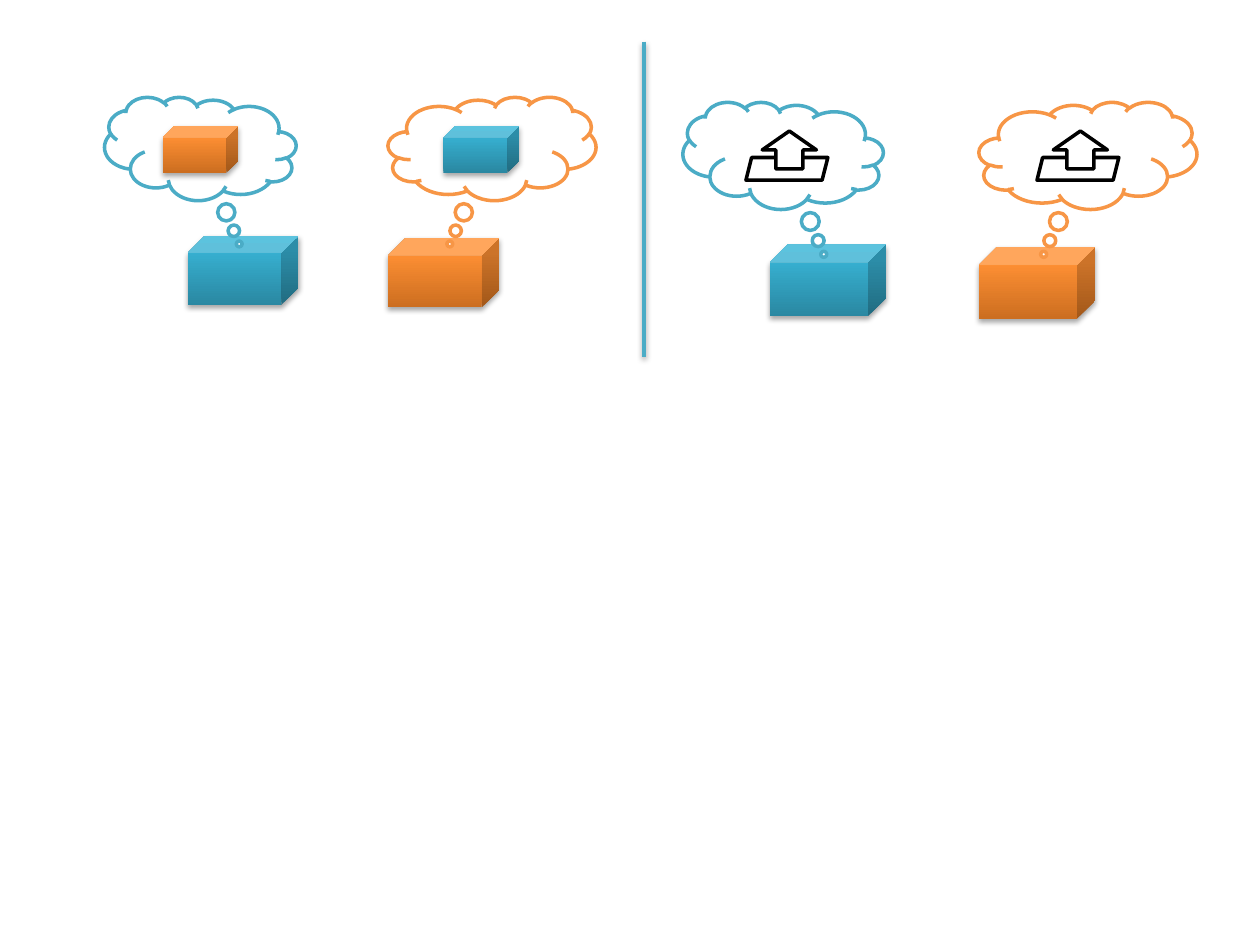
"""Build a slide of paired cubes thinking of each other, then of a shared outbox."""
from copy import deepcopy

from lxml import etree
from pptx import Presentation
from pptx.dml.color import RGBColor
from pptx.enum.shapes import MSO_CONNECTOR, MSO_SHAPE
from pptx.oxml.ns import qn
from pptx.util import Inches, Pt

CUBE = MSO_SHAPE.CUBE
CLOUD = MSO_SHAPE.CLOUD_CALLOUT
TRAY = MSO_SHAPE.PARALLELOGRAM
ARROW = MSO_SHAPE.UP_ARROW
STRAIGHT = MSO_CONNECTOR.STRAIGHT

COLORS = {"teal": "4BACC6", "orange": "F79646", "black": "000000", "white": "FFFFFF"}
GRADIENTS = {
    "teal": ("2A88A2", "37B1D2", "34B4D6"),
    "orange": ("CC6E20", "FF9034", "FF9136"),
}
STOPS = (0, 0.8, 1)


class Diagram:
    """Draws styled elements on one slide."""

    def __init__(self, slide):
        self.slide = slide
        self.shapes = slide.shapes
        self.line_width = Pt(2)

    def group(self):
        """Start a group that receives the next shapes."""
        self.shapes = self.slide.shapes.add_group_shape().shapes

    def ungroup(self):
        """Send the next shapes to the slide itself."""
        self.shapes = self.slide.shapes

    def shape(self, kind, x, y, w, h):
        """Add a preset shape without its theme shadow."""
        s = self.shapes.add_shape(kind, Inches(x), Inches(y), Inches(w), Inches(h))
        s.shadow.inherit = False
        return s

    def shadow(self, effects, opacity, distance):
        """Put a soft downward shadow in an effect list."""
        outer = etree.SubElement(
            effects, qn("a:outerShdw"), blurRad=str(Pt(3.1)), dist=str(Pt(distance)),
            dir="5400000", rotWithShape="0")
        color = etree.SubElement(outer, qn("a:srgbClr"), val=COLORS["black"])
        etree.SubElement(color, qn("a:alpha"), val=str(opacity * 1000))

    def cube(self, color, x, y, w, h):
        """Add a gradient cube with a shadow."""
        s = self.shape(CUBE, x, y, w, h)
        s.fill.gradient()
        s.fill.gradient_angle = 90
        first = s._element.spPr.find(".//" + qn("a:gs"))
        first.addnext(deepcopy(first))
        for stop, position, rgb in zip(s.fill.gradient_stops, STOPS, GRADIENTS[color]):
            stop.position = position
            stop.color.rgb = RGBColor.from_string(rgb)
        s.line.fill.background()
        self.shadow(s._element.spPr.find(qn("a:effectLst")), 35, 1.8)

    def outline(self, kind, color, x, y, w, h):
        """Add a white shape with a coloured outline."""
        s = self.shape(kind, x, y, w, h)
        s.fill.solid()
        s.fill.fore_color.rgb = RGBColor.from_string(COLORS["white"])
        s.line.color.rgb = RGBColor.from_string(COLORS[color])
        s.line.width = self.line_width
        return s

    def cloud(self, color, x, y, w, h, flip=False):
        """Add a thought cloud, mirrored when asked."""
        s = self.outline(CLOUD, color, x, y, w, h)
        s.adjustments[0] = -0.203
        s.adjustments[1] = 0.922
        if flip:
            s._element.spPr.find(qn("a:xfrm")).set("flipH", "1")

    def outbox(self, x, y):
        """Add a tray with an arrow rising from it."""
        self.outline(TRAY, "black", x, y + 0.21, 0.65, 0.18)
        self.outline(ARROW, "black", x + 0.13, y, 0.43, 0.3)

    def divider(self, x, top, bottom):
        """Add a vertical dividing line with a shadow."""
        s = self.shapes.add_connector(
            STRAIGHT, Inches(x), Inches(top), Inches(x), Inches(bottom))
        s.line.color.rgb = RGBColor.from_string(COLORS["teal"])
        s.line.width = self.line_width
        self.shadow(etree.SubElement(s._element.spPr, qn("a:effectLst")), 38, 1.6)


def main():
    """Build and save the slide."""
    prs = Presentation()
    prs.slide_width = Inches(10)
    prs.slide_height = Inches(7.5)
    d = Diagram(prs.slides.add_slide(prs.slide_layouts[6]))

    d.group()
    d.cube("teal", 1.49, 1.87, 0.88, 0.55)
    d.cube("orange", 3.08, 1.89, 0.88, 0.55)
    d.cloud("teal", 0.83, 0.77, 1.52, 0.82, flip=True)
    d.cube("orange", 1.29, 1, 0.6, 0.37)
    d.cloud("orange", 3.08, 0.77, 1.65, 0.82)
    d.cube("teal", 3.52, 1, 0.6, 0.37)

    d.ungroup()
    d.cube("teal", 6.11, 1.94, 0.92, 0.57)
    d.cube("orange", 7.77, 1.96, 0.92, 0.57)
    d.cloud("teal", 5.42, 0.81, 1.59, 0.85, flip=True)
    d.cloud("orange", 7.77, 0.81, 1.73, 0.85)
    for x in (5.92, 8.23):
        d.outbox(x, 1.04)
    d.divider(5.11, 0.33, 2.83)

    prs.save("out.pptx")


if __name__ == "__main__":
    main()
